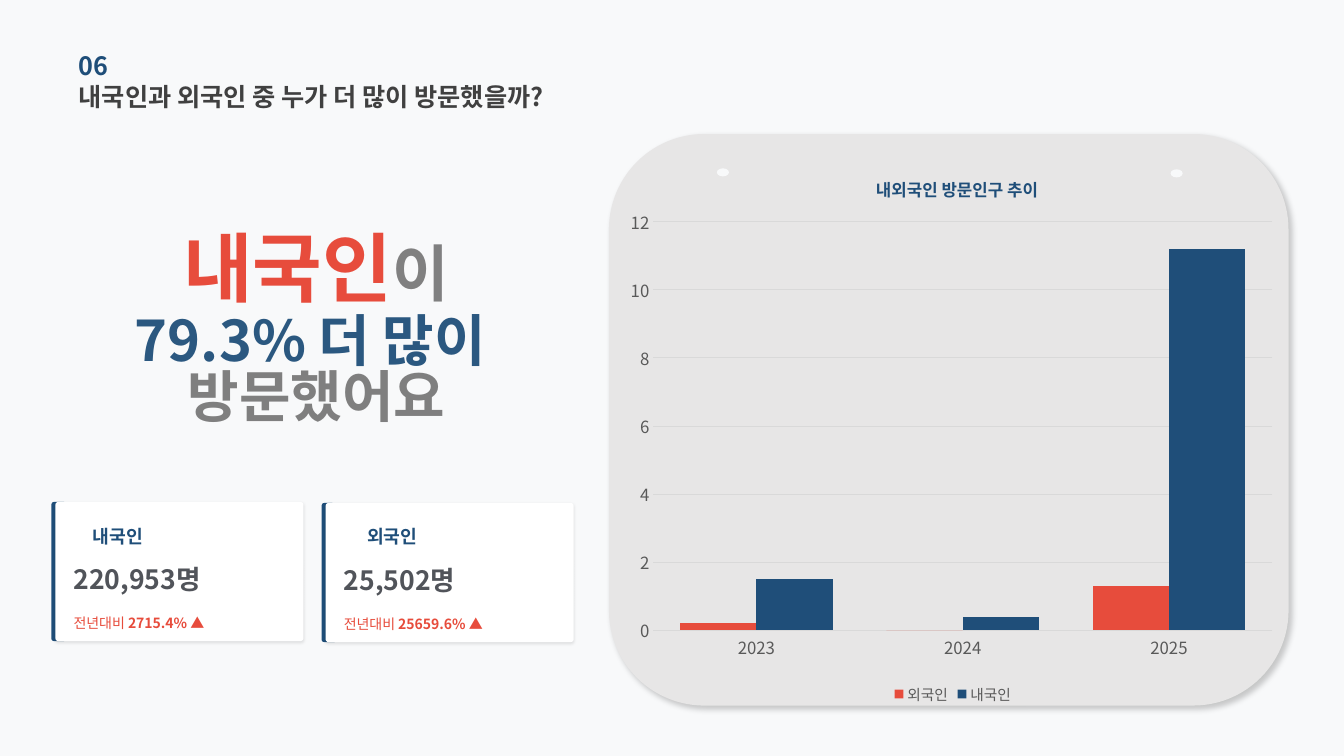
from dataclasses import dataclass

from lxml import etree
from pptx import Presentation
from pptx import util as u
from pptx.chart import data as cd
from pptx.dml import color as col
from pptx.enum import chart as ch
from pptx.enum import shapes as sh
from pptx.enum import text as tx
from pptx.oxml import ns, parse_xml

FACE = "Noto Sans CJK KR"
NAVY, RED, PALE, LINE = "1F4E79", "E74C3C", "F8F9FA", "D9D9D9"
SCALE = 9144


@dataclass
class Box:
    x: int
    y: int
    w: int
    h: int


@dataclass
class Run:
    text: str
    size: float
    hue: str
    bold: bool = True


@dataclass
class Card:
    x: int
    y: int
    label: int
    name: str
    count: str
    rise: str


CARDS = [
    Card(55, 498, 92, "내국인", "220,953명", "2715.4% ▲"),
    Card(323, 499, 364, "외국인", "25,502명", "25659.6% ▲"),
]
SERIES = [("외국인", (0.2, 0, 1.3), RED), ("내국인", (1.5, 0.4, 11.2), NAVY)]


def px(n: int) -> int:
    return u.Emu(n * SCALE)


def rgb(hue: str) -> col.RGBColor:
    return col.RGBColor.from_string(hue)


def spot(box: Box) -> tuple:
    return px(box.x), px(box.y), px(box.w), px(box.h)


def style(font, size: float, hue: str, bold: bool = False) -> None:
    font.size, font.bold, font.name = u.Pt(size), bold, FACE
    font.color.rgb = rgb(hue)
    etree.SubElement(font._rPr, ns.qn("a:ea"), typeface=FACE)


def fill_text(frame, rows: list[list[Run]], align=tx.PP_ALIGN.LEFT, gap: float = 1.0) -> None:
    frame.margin_left = frame.margin_right = frame.margin_top = frame.margin_bottom = 0
    frame.word_wrap = True
    frame.auto_size = tx.MSO_AUTO_SIZE.NONE
    frame.vertical_anchor = tx.MSO_ANCHOR.MIDDLE
    for i, row in enumerate(rows):
        para = frame.add_paragraph() if i else frame.paragraphs[0]
        para.alignment, para.line_spacing = align, gap
        head = row[0]
        style(para.font, head.size, head.hue, head.bold)
        for part in row:
            run = para.add_run()
            run.text = part.text
            if (part.size, part.hue, part.bold) != (head.size, head.hue, head.bold):
                style(run.font, part.size, part.hue, part.bold)


def add_text(slide, box: Box, rows: list[list[Run]], **kind) -> None:
    fill_text(slide.shapes.add_textbox(*spot(box)).text_frame, rows, **kind)


def add_form(slide, form, box: Box, hue: str):
    item = slide.shapes.add_shape(form, *spot(box))
    item.shadow.inherit = False
    item.fill.solid()
    item.fill.fore_color.rgb = rgb(hue)
    item.line.fill.background()
    return item


def cast(item, alpha: int, blur: int, dist: int, turn: int) -> None:
    item._element.spPr.find(ns.qn("a:effectLst")).append(parse_xml(
        f'<a:outerShdw {ns.nsdecls("a")} blurRad="{u.Pt(blur)}" dist="{u.Pt(dist)}" '
        f'dir="{turn * 60000}" algn="tl" rotWithShape="0"><a:srgbClr val="000000">'
        f'<a:alpha val="{alpha * 1000}"/></a:srgbClr></a:outerShdw>'))


def add_card(slide, card: Card) -> None:
    form = sh.MSO_SHAPE.ROUNDED_RECTANGLE
    add_form(slide, form, Box(card.x - 4, card.y, 15, 138), NAVY)
    face = add_form(slide, form, Box(card.x, card.y, 246, 138), "FFFFFF")
    face.adjustments[0] = 0.02
    cast(face, 10, 2, 1, 90)
    left = card.x + 18
    add_text(slide, Box(card.label, 518, 65, 28), [[Run(card.name, 13, NAVY)]])
    add_text(slide, Box(left, card.y + 57, 252, 39), [[Run(card.count, 19, "51545A")]])
    add_text(slide, Box(left, card.y + 97, 240, 45),
             [[Run("전년대비 ", 10, RED, False), Run(card.rise, 10, RED)]])


def place(node, x: float, y: float, w: float = 0, h: float = 0) -> None:
    size = f'<c:w val="{w}"/><c:h val="{h}"/>' if w else ""
    inner = '<c:layoutTarget val="inner"/>' if w else ""
    old = node.find(ns.qn("c:layout"))
    if old is not None:
        node.remove(old)
    new = parse_xml(
        f'<c:layout {ns.nsdecls("c")}><c:manualLayout>{inner}<c:xMode val="edge"/>'
        f'<c:yMode val="edge"/><c:x val="{x}"/><c:y val="{y}"/>{size}</c:manualLayout></c:layout>')
    text = node.find(ns.qn("c:tx"))
    node.insert(0 if text is None else 1, new)


def add_graph(slide, box: Box) -> None:
    data = cd.CategoryChartData()
    data.categories = ["2023", "2024", "2025"]
    for name, vals, _ in SERIES:
        data.add_series(name, vals)
    chart = slide.shapes.add_chart(
        ch.XL_CHART_TYPE.COLUMN_CLUSTERED, *spot(box), data).chart
    style(chart.font, 10, "000000")
    chart.has_title = True
    para = chart.chart_title.text_frame.paragraphs[0]
    style(para.font, 12, NAVY, True)
    para.add_run().text = "내외국인 방문인구 추이"
    chart.chart_title.include_in_layout = False
    place(chart.chart_title._element, 0.38, 0.04)

    plot = chart.plots[0]
    plot.gap_width, plot.overlap, plot.vary_by_categories = 70, 0, False
    for bar, (_, _, hue) in zip(plot.series, SERIES):
        bar.format.fill.solid()
        bar.format.fill.fore_color.rgb = rgb(hue)
        bar.invert_if_negative = False
    place(chart._chartSpace.chart.plotArea, 0.05, 0.13, 0.93, 0.73)

    cat, val = chart.category_axis, chart.value_axis
    for axis in (cat, val):
        axis.major_tick_mark = axis.minor_tick_mark = ch.XL_TICK_MARK.NONE
        style(axis.tick_labels.font, 12, "595959")
    val.minimum_scale, val.maximum_scale, val.major_unit = 0, 12, 2
    val.tick_labels.number_format = "General"
    val.tick_labels.number_format_is_linked = False
    val.format.line.fill.background()
    val.has_major_gridlines = True
    for line in (cat.format.line, val.major_gridlines.format.line):
        line.color.rgb = rgb(LINE)
        line.width = u.Pt(0.75)

    chart.has_legend = True
    chart.legend.position = ch.XL_LEGEND_POSITION.BOTTOM
    chart.legend.include_in_layout = False
    style(chart.legend.font, 10.5, "595959")


def main() -> None:
    deck = Presentation()
    deck.slide_width, deck.slide_height = px(1333), px(750)
    slide = deck.slides.add_slide(deck.slide_layouts[5])
    slide.background.fill.solid()
    slide.background.fill.fore_color.rgb = rgb(PALE)

    title = slide.shapes.title
    title.left, title.top, title.width, title.height = spot(Box(78, 75, 528, 41))
    fill_text(title.text_frame,
              [[Run("내국인과 외국인 중 누가 더 많이 방문했을까?", 18, "404040")]])
    add_text(slide, Box(78, 44, 452, 41), [[Run("06", 18, NAVY)]])

    panel = add_form(slide, sh.MSO_SHAPE.ROUNDED_RECTANGLE, Box(604, 133, 674, 567), "E7E6E6")
    cast(panel, 20, 4, 3, 45)
    for x, y in ((711, 167), (1161, 168)):
        add_form(slide, sh.MSO_SHAPE.OVAL, Box(x, y, 12, 8), PALE)

    mid = tx.PP_ALIGN.CENTER
    add_text(slide, Box(99, 240, 429, 48),
             [[Run("내국인", 54, RED), Run("이", 44, "808080")]], align=mid)
    add_text(slide, Box(38, 328, 552, 84),
             [[Run("79.3% 더 많이 ", 40, "2B5880")], [Run("방문했어요", 40, "7F7F7F")]],
             align=mid, gap=0.83)
    for card in CARDS:
        add_card(slide, card)
    add_graph(slide, Box(615, 148, 660, 555))
    deck.save("out.pptx")


if __name__ == "__main__":
    main()
